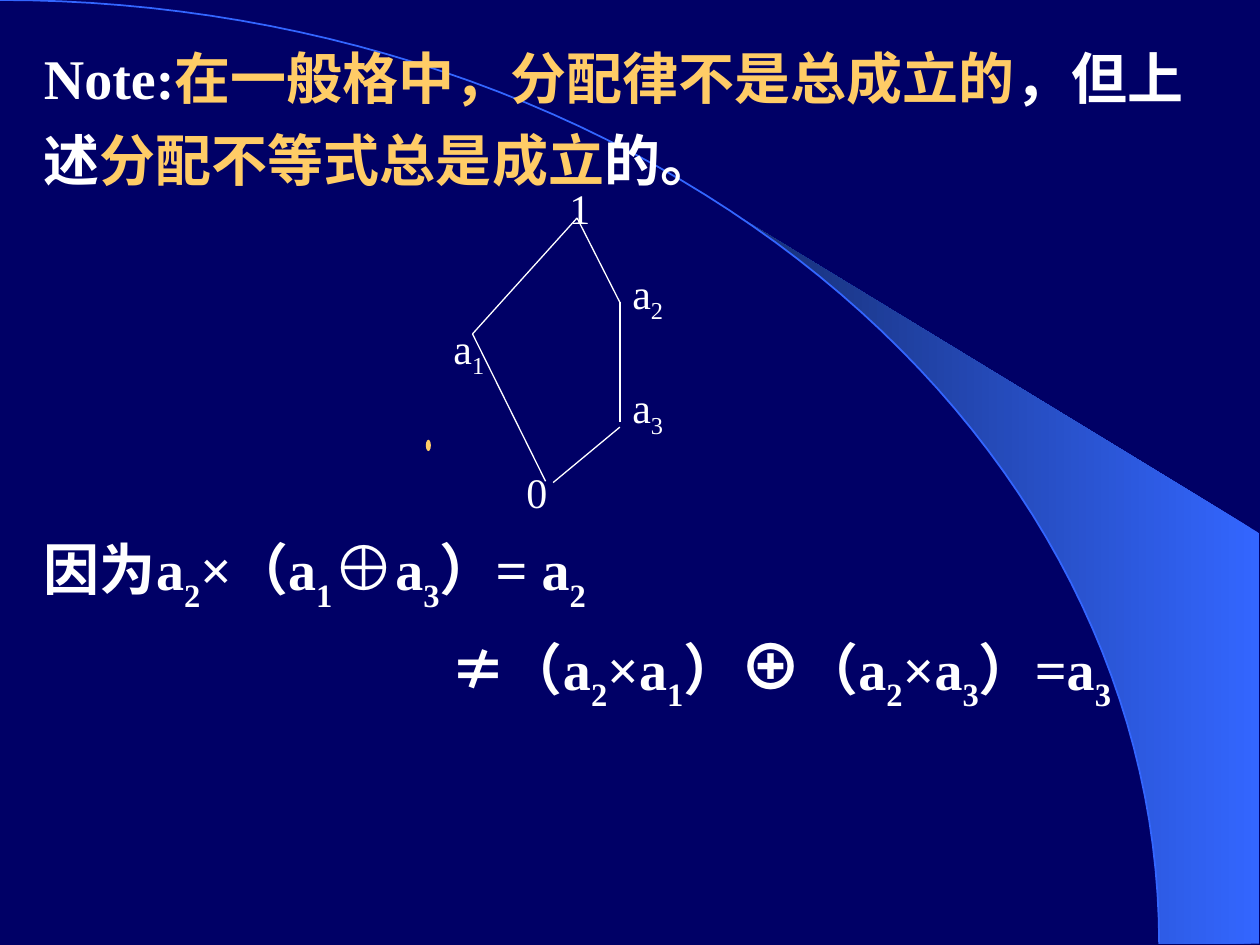
from math import asin, cos, pi, sin

from lxml.etree import SubElement
from pptx import Presentation
from pptx.dml.color import RGBColor
from pptx.enum.shapes import MSO_CONNECTOR, MSO_SHAPE
from pptx.oxml.ns import qn
from pptx.util import Pt

PX = 9144
LATIN = "Times New Roman"
ASIAN = "Noto Sans CJK SC"
COLORS = {
    "night": "000066",
    "blue": "3366FF",
    "shade": "172F75",
    "white": "FFFFFF",
    "gold": "FFCC66",
}


def color(name):
    return RGBColor.from_string(COLORS[name])


def emu(*lengths):
    return [length * PX for length in lengths]


def add_text(page, box, lines, size, bold=False, drop=30, pitch=None, indents=()):
    frame = page.shapes.add_textbox(*emu(*box)).text_frame
    frame.word_wrap = True
    for index, line in enumerate(lines):
        para = frame.paragraphs[0] if index == 0 else frame.add_paragraph()
        if pitch:
            para.line_spacing = Pt(pitch)
        if indents:
            para._p.get_or_add_pPr().set("marL", str(indents[index] * PX))
        para.font.size = Pt(size)
        para.font.bold = bold
        para.font.color.rgb = color("white")
        para.font.name = LATIN
        defaults = para._p.pPr.find(qn("a:defRPr"))
        SubElement(defaults, qn("a:ea")).set("typeface", ASIAN)
        for text, style in line:
            span = para.add_run()
            span.text = text
            if style == "gold":
                span.font.color.rgb = color("gold")
            elif style == "sub":
                span._r.get_or_add_rPr().set("baseline", str(-drop * 1000))
            elif style == "big":
                span.font.size = Pt(36)


def add_outline(page, points, close):
    start, *rest = points
    builder = page.shapes.build_freeform(*start, scale=1.0)
    builder.add_line_segments(rest, close=close)
    shape = builder.convert_to_shape()
    shape.shadow.inherit = False
    return shape


def add_swoosh(page, box):
    left, top, width, height = emu(*box)
    radius, right, corner = emu(920, 999, 423)

    def arc(start, steps=60):
        angles = [start + (pi / 2 - start) * step / steps for step in range(steps + 1)]
        return [
            (round(left + radius * sin(angle)), round(top + height * (1 - cos(angle))))
            for angle in angles
        ]

    edge = [(left + right, top + height), (left + right, top + corner)]
    beam = add_outline(page, arc(asin(0.64)) + edge, True)
    beam.line.fill.background()
    beam.fill.gradient()
    beam.fill.gradient_angle = 180
    for stop, name, position in zip(beam.fill.gradient_stops, ("blue", "shade"), (0, 1)):
        stop.color.rgb = color(name)
        stop.position = position

    curve = add_outline(page, arc(0), False)
    curve.fill.background()
    curve.line.color.rgb = color("blue")
    curve.line.width = Pt(1)


def add_note(page, box):
    lines = [
        [("Note:", ""), ("在一般格中，分配律不是总成立的", "gold"), ("，但上", "")],
        [("述", ""), ("分配不等式总是成立", "gold"), ("的。", "")],
    ]
    add_text(page, box, lines, 32, bold=True, pitch=46.9)


def add_formula(page, box):
    lines = [
        [("因为a", ""), ("2", "sub"), ("×（a", ""), ("1", "sub"), ("⊕", "big"),
         ("a", ""), ("3", "sub"), ("）= a", ""), ("2", "sub")],
        [("≠（a", ""), ("2", "sub"), ("×a", ""), ("1", "sub"), ("）", ""), ("⊕", "big"),
         ("（a", ""), ("2", "sub"), ("×a", ""), ("3", "sub"), ("）=a", ""), ("3", "sub")],
    ]
    add_text(page, box, lines, 32, bold=True, pitch=57, indents=(0, 323))


def add_lattice(page, box):
    left, top = box[:2]
    labels = [
        ("a", "2", 142, 67, 53, 68),
        ("a", "3", 142, 158, 100, 56),
        ("0", "", 58, 225, 53, 68),
        ("1", "", 92, 0, 53, 68),
        ("a", "1", 0, 111, 53, 68),
    ]
    for name, index, x, y, width, height in labels:
        line = [(name, "")] + ([(index, "sub")] if index else [])
        add_text(page, (left + x, top + y, width, height), [line], 24, drop=25)

    edges = [
        (142, 199, 89, 243),
        (108, 33, 25, 125),
        (25, 125, 83, 242),
        (108, 33, 142, 100),
        (142, 100, 142, 195),
    ]
    for x1, y1, x2, y2 in edges:
        ends = emu(left + x1, top + y1, left + x2, top + y2)
        edge = page.shapes.add_connector(MSO_CONNECTOR.STRAIGHT, *ends)
        edge.line.color.rgb = color("white")
        edge.line.width = Pt(0.75)
        SubElement(edge._element.spPr, qn("a:effectLst"))


def add_dot(page, box):
    dot = page.shapes.add_shape(MSO_SHAPE.OVAL, *emu(*box))
    dot.shadow.inherit = False
    dot.fill.solid()
    dot.fill.fore_color.rgb = color("gold")
    dot.line.fill.background()


def main():
    deck = Presentation()
    deck.slide_width, deck.slide_height = emu(1000, 750)
    page = deck.slides.add_slide(deck.slide_layouts[6])
    page.background.fill.solid()
    page.background.fill.fore_color.rgb = color("night")
    add_swoosh(page, (0, 0, 1000, 749))
    add_note(page, (25, 18, 956, 140))
    add_formula(page, (25, 403, 956, 170))
    add_dot(page, (338, 349, 4, 9))
    add_lattice(page, (350, 140, 242, 293))
    deck.save("out.pptx")


if __name__ == "__main__":
    main()
